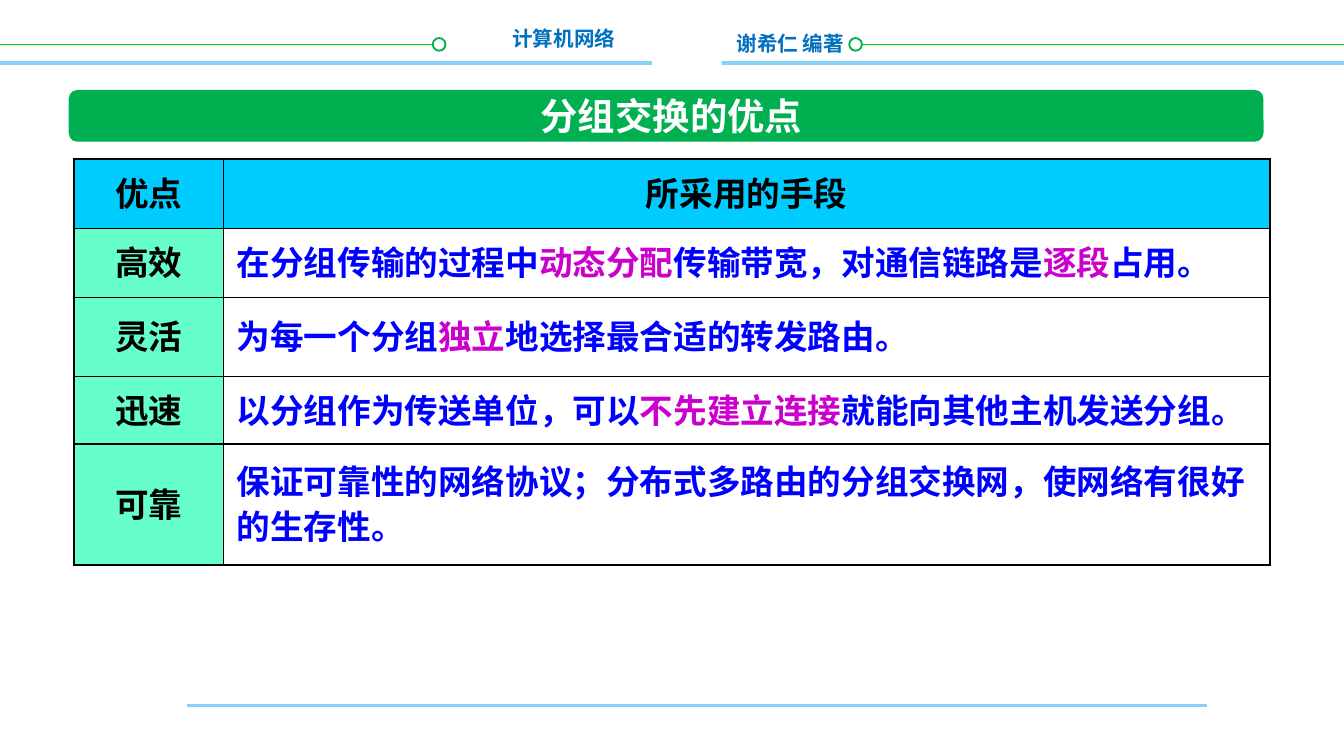
"""Build a slide with a table of the advantages of packet switching."""
from typing import NamedTuple

import lxml.etree
import pptx
import pptx.dml.color
import pptx.enum.shapes
import pptx.enum.text
import pptx.oxml
import pptx.oxml.ns
import pptx.util

Cm = pptx.util.Cm
Pt = pptx.util.Pt
PP_ALIGN = pptx.enum.text.PP_ALIGN
ANCHOR = pptx.enum.text.MSO_ANCHOR
SHAPE = pptx.enum.shapes.MSO_SHAPE
qn = pptx.oxml.ns.qn

FONT = "Noto Sans CJK SC"
BLACK, WHITE, BLUE, MAGENTA = "000000", "FFFFFF", "0000FF", "CC00CC"
GREEN, LIME, SKY, HEADER_BLUE = "00B050", "00CC00", "85D1F7", "0070C0"
HEAD_FILL, LABEL_FILL = "00CCFF", "66FFCC"


class Rule(NamedTuple):
    x1: float
    x2: float
    y: float
    color: str
    width: float


class Block(NamedTuple):
    kind: int
    x: float
    y: float
    w: float
    h: float
    fill: str
    line: str | None = None


class Label(NamedTuple):
    text: str
    x: float
    y: float
    w: float
    h: float
    size: float
    color: str
    align: int
    anchor: int = ANCHOR.TOP
    wrap: bool = True


class Row(NamedTuple):
    height: float
    label: str
    phrases: list[str]


COLUMNS = [2.82, 19.78]
HEADINGS = Row(1.32, "优点", ["所采用的手段"])
ROWS = [
    Row(1.3, "高效", ["在分组传输的过程中", "动态分配", "传输带宽，对通信链路是", "逐段", "占用。"]),
    Row(1.5, "灵活", ["为每一个分组", "独立", "地选择最合适的转发路由。"]),
    Row(1.27, "迅速", ["以分组作为传送单位，可以", "不先建立连接", "就能向其他主机发送分组。"]),
    Row(2.29, "可靠", ["保证可靠性的网络协议；分布式多路由的分组交换网，使网络有很好的生存性。"]),
]
RULES = [
    Rule(0, 8.23, 0.84, LIME, 1),
    Rule(16.05, 25.4, 0.84, LIME, 1),
    Rule(3.53, 22.81, 13.34, SKY, 1.5),
    Rule(0, 25.4, 1.19, SKY, 2),
]
BLOCKS = [
    Block(SHAPE.OVAL, 8.18, 0.72, 0.24, 0.24, WHITE, GREEN),
    Block(SHAPE.OVAL, 16.05, 0.72, 0.24, 0.24, WHITE, GREEN),
    Block(SHAPE.RECTANGLE, 12.32, 0.36, 1.32, 1.3, WHITE),
    Block(SHAPE.ROUNDED_RECTANGLE, 1.3, 1.7, 22.58, 0.98, GREEN),
]
LABELS = [
    Label("谢希仁 编著", 13.67, 0.46, 2.95, 0.74, 11, HEADER_BLUE, PP_ALIGN.LEFT),
    Label("计算机网络", 9.42, 0.36, 2.46, 0.74, 11, HEADER_BLUE, PP_ALIGN.RIGHT, wrap=False),
    Label("分组交换的优点", 3.48, 1.7, 18.42, 0.98, 20, WHITE, PP_ALIGN.CENTER, ANCHOR.MIDDLE),
]


def rgb(color: str) -> pptx.dml.color.RGBColor:
    """Turn a hex string into a colour."""
    return pptx.dml.color.RGBColor.from_string(color)


def style_run(r, size: float, color: str) -> None:
    """Set a run in bold, for Latin and East Asian text alike."""
    r.font.size = Pt(size)
    r.font.bold = True
    r.font.color.rgb = rgb(color)
    r.font.name = FONT
    latin = r.font._element.find(qn("a:latin"))
    ea = lxml.etree.Element(qn("a:ea"), typeface=FONT)
    latin.addnext(ea)


def add_rule(slide, rule: Rule) -> None:
    """Draw a horizontal line."""
    y = Cm(rule.y)
    sp = slide.shapes.add_connector(
        pptx.enum.shapes.MSO_CONNECTOR.STRAIGHT, Cm(rule.x1), y, Cm(rule.x2), y)
    sp.line.color.rgb = rgb(rule.color)
    sp.line.width = Pt(rule.width)
    lxml.etree.SubElement(sp._element.spPr, qn("a:effectLst"))


def add_block(slide, block: Block) -> None:
    """Draw a filled preset shape."""
    sp = slide.shapes.add_shape(
        block.kind, Cm(block.x), Cm(block.y), Cm(block.w), Cm(block.h))
    sp.shadow.inherit = False
    sp.fill.solid()
    sp.fill.fore_color.rgb = rgb(block.fill)
    if block.line:
        sp.line.color.rgb = rgb(block.line)
        sp.line.width = Pt(1)
    else:
        sp.line.fill.background()


def add_label(slide, label: Label) -> None:
    """Place a line of text."""
    sp = slide.shapes.add_textbox(Cm(label.x), Cm(label.y), Cm(label.w), Cm(label.h))
    tf = sp.text_frame
    tf.word_wrap = label.wrap
    tf.vertical_anchor = label.anchor
    tf.text = label.text
    p = tf.paragraphs[0]
    p.alignment = label.align
    style_run(p.runs[0], label.size, label.color)


def add_borders(cell) -> None:
    """Put a thin black border on every side of a cell."""
    tcPr = cell._tc.get_or_add_tcPr()
    for i, side in enumerate(("lnL", "lnR", "lnT", "lnB")):
        ln = lxml.etree.Element(qn(f"a:{side}"), w=str(Pt(1)))
        fill = lxml.etree.SubElement(ln, qn("a:solidFill"))
        lxml.etree.SubElement(fill, qn("a:srgbClr"), val=BLACK)
        tcPr.insert(i, ln)


def fill_cell(cell, phrases: list[str], colors: list[str], fill: str, align: int) -> None:
    """Write phrases in alternating colours into a cell."""
    cell.fill.solid()
    cell.fill.fore_color.rgb = rgb(fill)
    cell.vertical_anchor = ANCHOR.MIDDLE
    p = cell.text_frame.paragraphs[0]
    p.alignment = align
    p.line_spacing = Pt(24)
    for i, phrase in enumerate(phrases):
        r = p.add_run()
        r.text = phrase
        style_run(r, 18, colors[i % len(colors)])
    add_borders(cell)


def add_advantages(slide) -> None:
    """Draw the table of advantages and means."""
    rows = [HEADINGS, *ROWS]
    table = slide.shapes.add_table(
        len(rows), len(COLUMNS), Cm(1.4), Cm(3), Cm(sum(COLUMNS)),
        Cm(sum(row.height for row in rows))).table
    for column, width in zip(table.columns, COLUMNS):
        column.width = Cm(width)
    for i, row in enumerate(rows):
        table.rows[i].height = Cm(row.height)
        head = row is HEADINGS
        fill_cell(table.cell(i, 0), [row.label], [BLACK],
                  HEAD_FILL if head else LABEL_FILL, PP_ALIGN.CENTER)
        fill_cell(table.cell(i, 1), row.phrases, [BLACK] if head else [BLUE, MAGENTA],
                  HEAD_FILL if head else WHITE,
                  PP_ALIGN.CENTER if head else PP_ALIGN.LEFT)


def main() -> None:
    """Build and save the slide."""
    prs = pptx.Presentation()
    prs.slide_width, prs.slide_height = Cm(25.4), Cm(14.29)
    slide = prs.slides.add_slide(prs.slide_layouts[6])
    for rule in RULES:
        add_rule(slide, rule)
    for block in BLOCKS:
        add_block(slide, block)
    add_advantages(slide)
    for label in LABELS:
        add_label(slide, label)
    prs.save("out.pptx")


if __name__ == "__main__":
    main()
